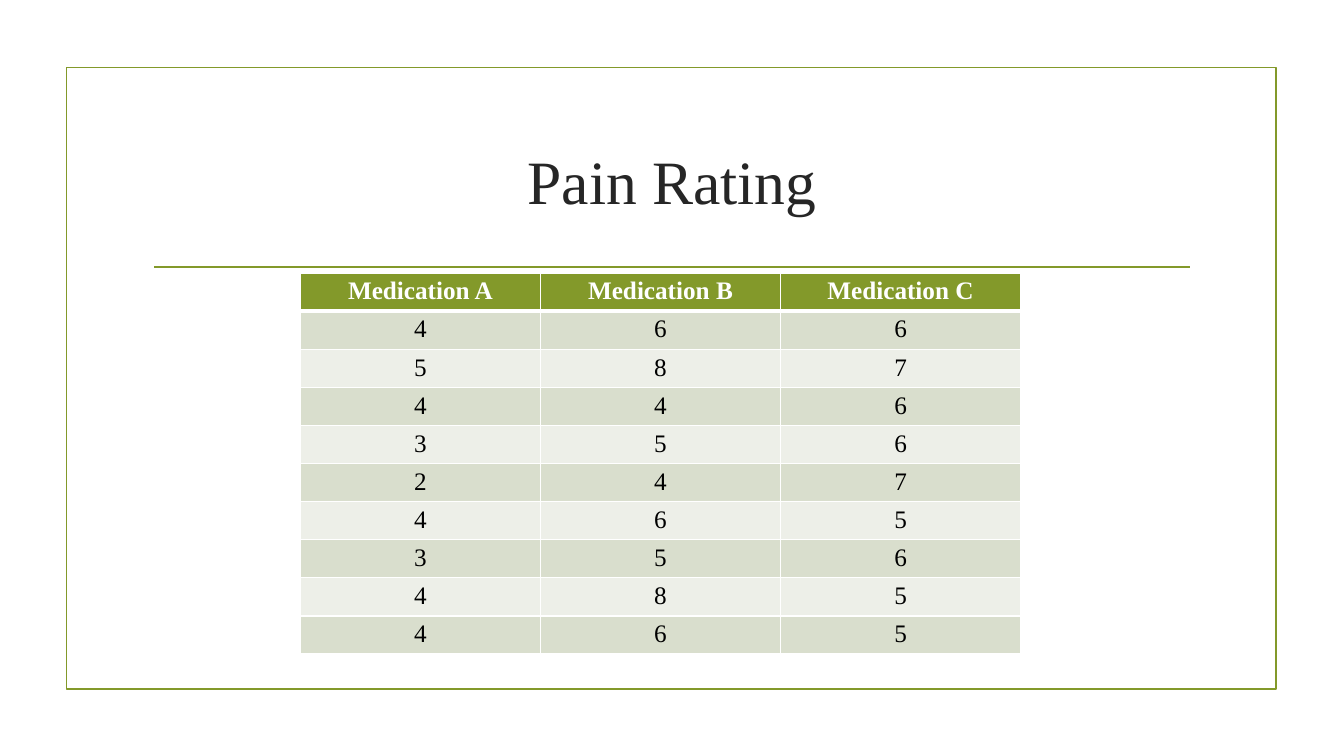
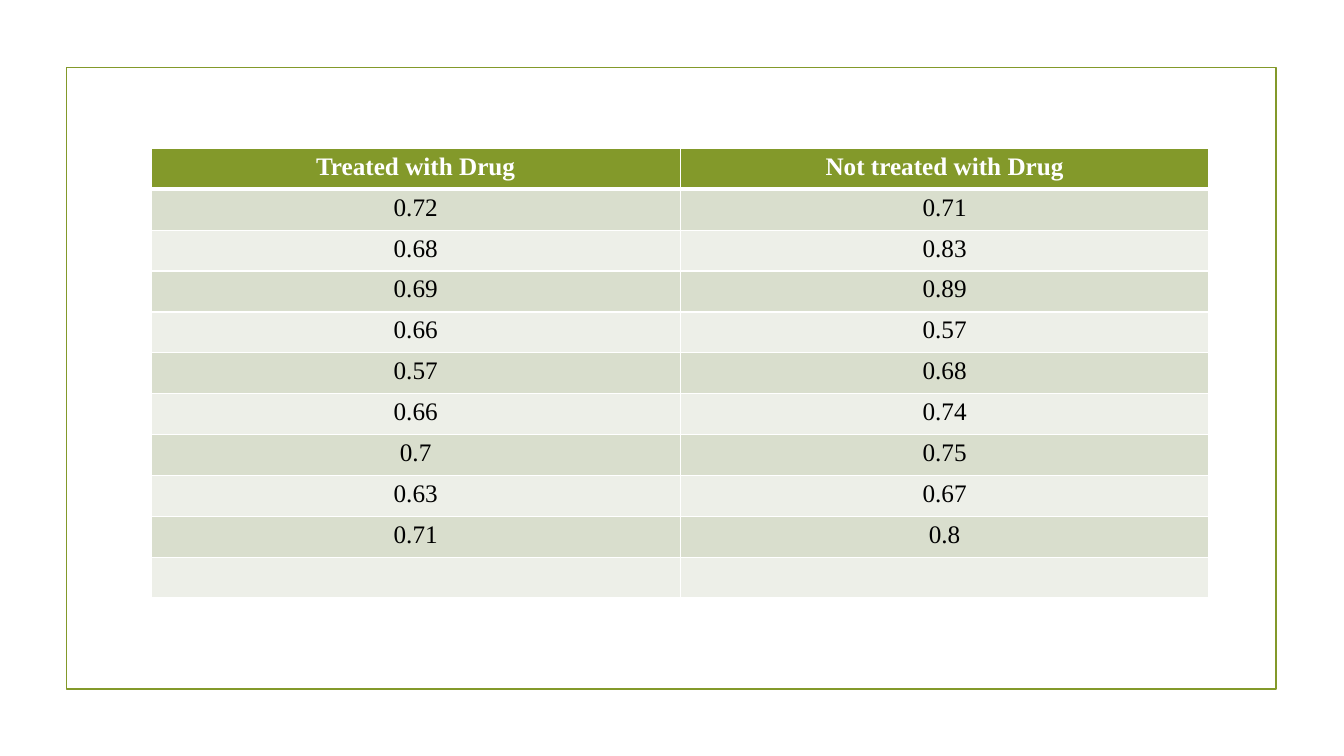
from lxml import etree
from pptx import Presentation
from pptx.dml.color import RGBColor
from pptx.enum.shapes import MSO_CONNECTOR, MSO_SHAPE
from pptx.enum.text import MSO_ANCHOR, PP_ALIGN
from pptx.oxml.ns import qn
from pptx.util import Cm, Pt

RECTANGLE = MSO_SHAPE.RECTANGLE
STRAIGHT = MSO_CONNECTOR.STRAIGHT
CENTER = PP_ALIGN.CENTER
MIDDLE = MSO_ANCHOR.MIDDLE
TOP = MSO_ANCHOR.TOP

COLORS = {
    "accent": "83992A",
    "title": "262626",
    "body": "000000",
    "white": "FFFFFF",
    "band_dark": "D9DECD",
    "band_light": "EDEFE8",
}
FONT = "Times New Roman"
TITLE_FORMAT = {"name": FONT, "size": Pt(44), "bold": False}
HEADER_FORMAT = {"name": FONT, "size": Pt(18), "bold": True}
BODY_FORMAT = {"name": FONT, "size": Pt(18), "bold": False}
CELL_FORMAT = {"margin_top": Cm(0.11), "margin_bottom": Cm(0.11), "vertical_anchor": TOP}

PAIN_RATINGS = [
    ("Medication A", "Medication B", "Medication C"),
    (4, 6, 6),
    (5, 8, 7),
    (4, 4, 6),
    (3, 5, 6),
    (2, 4, 7),
    (4, 6, 5),
    (3, 5, 6),
    (4, 8, 5),
    (4, 6, 5),
]
DRUG_RESULTS = [
    ("Treated with Drug", "Not treated with Drug"),
    (0.72, 0.71),
    (0.68, 0.83),
    (0.69, 0.89),
    (0.66, 0.57),
    (0.57, 0.68),
    (0.66, 0.74),
    (0.7, 0.75),
    (0.63, 0.67),
    (0.71, 0.8),
    ("", ""),
]


def format_paragraph(paragraph, font_format, color):
    paragraph.alignment = CENTER
    for name, value in font_format.items():
        setattr(paragraph.font, name, value)
    paragraph.font.color.rgb = RGBColor.from_string(COLORS[color])


def add_banded_table(slide, rows, left, top, column_width, row_height):
    """Add a table with a green header, alternating bands and white rules."""
    row_count, column_count = len(rows), len(rows[0])
    table = slide.shapes.add_table(
        row_count, column_count, Cm(left), Cm(top),
        Cm(column_width * column_count), Cm(row_height * row_count),
    ).table
    table.horz_banding = False
    for column in table.columns:
        column.width = Cm(column_width)
    for row_index, values in enumerate(rows):
        table.rows[row_index].height = Cm(row_height)
        is_header = row_index == 0
        band = "band_dark" if row_index % 2 else "band_light"
        for column_index, value in enumerate(values):
            cell = table.cell(row_index, column_index)
            for name, setting in CELL_FORMAT.items():
                setattr(cell, name, setting)
            cell.text = str(value)
            format_paragraph(
                cell.text_frame.paragraphs[0],
                HEADER_FORMAT if is_header else BODY_FORMAT,
                "white" if is_header else "body",
            )

            # Border elements must come before the fill.
            properties = cell._tc.get_or_add_tcPr()
            for side in ("lnL", "lnR", "lnT", "lnB"):
                below_header = (row_index, side) in ((0, "lnB"), (1, "lnT"))
                width = Pt(3 if below_header else 1)
                border = etree.SubElement(properties, qn("a:" + side), w=str(width))
                fill = etree.SubElement(border, qn("a:solidFill"))
                etree.SubElement(fill, qn("a:srgbClr"), val=COLORS["white"])
            cell.fill.solid()
            cell.fill.fore_color.rgb = RGBColor.from_string(
                COLORS["accent" if is_header else band])


presentation = Presentation()
presentation.slide_width = Cm(33.87)
presentation.slide_height = Cm(19.05)
title_only_layout = presentation.slide_layouts[5]
blank_layout = presentation.slide_layouts[6]

# Pain ratings
pain_slide = presentation.slides.add_slide(title_only_layout)
title = pain_slide.shapes.title
title.left, title.top, title.width, title.height = Cm(3.61), Cm(2.72), Cm(26.67), Cm(3.63)
title.text_frame.text = "Pain Rating"
title.text_frame.vertical_anchor = MIDDLE
format_paragraph(title.text_frame.paragraphs[0], TITLE_FORMAT, "title")

# Frame and title rule, moved to the master so that every slide shows them
frame = pain_slide.shapes.add_shape(RECTANGLE, Cm(1.68), Cm(1.7), Cm(30.48), Cm(15.67))
frame.shadow.inherit = False
frame.fill.background()
title_rule = pain_slide.shapes.add_connector(STRAIGHT, Cm(3.89), Cm(6.73), Cm(30), Cm(6.73))
etree.SubElement(title_rule.element.spPr, qn("a:effectLst"))
master_shapes = presentation.slide_master.element.cSld.spTree
for shape_id, shape in enumerate((frame, title_rule), start=101):
    shape.line.color.rgb = RGBColor.from_string(COLORS["accent"])
    shape.line.width = Pt(1.25)
    shape.element.xpath(".//p:cNvPr")[0].set("id", str(shape_id))
    master_shapes.append(shape.element)

add_banded_table(pain_slide, PAIN_RATINGS, left=7.57, top=6.88,
                 column_width=6.05, row_height=0.96)

# Drug results
drug_slide = presentation.slides.add_slide(blank_layout)
add_banded_table(drug_slide, DRUG_RESULTS, left=3.81, top=3.74,
                 column_width=13.33, row_height=1.03)

presentation.save("out.pptx")
